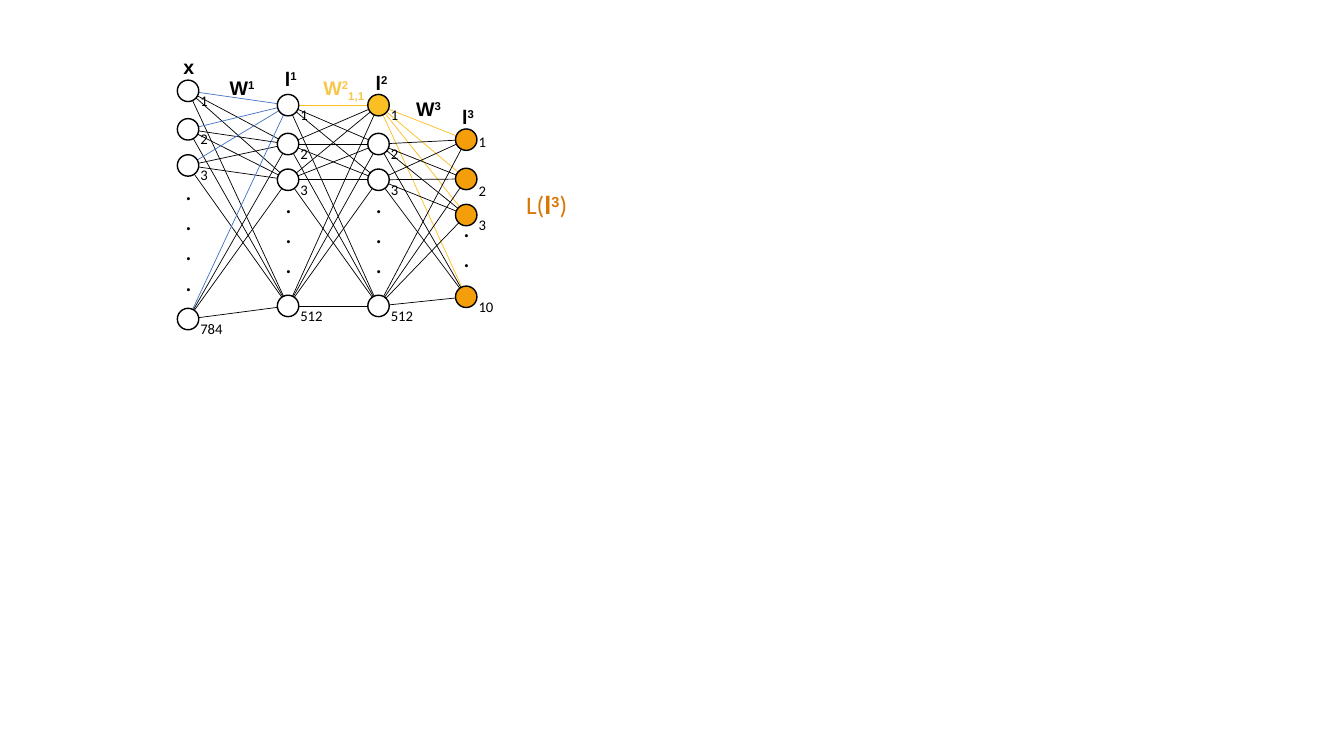
from itertools import product

from lxml import etree
from pptx import Presentation
from pptx.dml.color import RGBColor
from pptx.enum.shapes import MSO_CONNECTOR, MSO_SHAPE
from pptx.enum.text import MSO_AUTO_SIZE
from pptx.oxml.ns import qn
from pptx.util import Cm, Pt

BLACK = RGBColor(0x00, 0x00, 0x00)
WHITE = RGBColor(0xFF, 0xFF, 0xFF)
BLUE = RGBColor(0x44, 0x72, 0xC4)
AMBER = RGBColor(0xFB, 0xBF, 0x24)
PALE_AMBER = RGBColor(0xF8, 0xC6, 0x4A)
ORANGE = RGBColor(0xF5, 0x9E, 0x0B)
DARK_ORANGE = RGBColor(0xD9, 0x77, 0x06)

# Layers, in cm: centre x, node centre ys, node fills, last number,
# label offsets below the centres, dots (top, height, count)
HIDDEN_YS = (2.65, 3.63, 4.53, 7.71)
EVEN = (-0.11,) * 4
LAYERS = [
    (4.74, (2.29, 3.26, 4.17, 8.04), (WHITE,) * 4, "784", EVEN, (4.29, 3.33, 4)),
    (7.26, HIDDEN_YS, (WHITE,) * 4, "512", EVEN, (4.62, 2.57, 3)),
    (9.54, HIDDEN_YS, (AMBER,) + (WHITE,) * 3, "512", EVEN, (4.62, 2.57, 3)),
    (11.75, (3.52, 4.51, 5.42, 7.48), (ORANGE,) * 4, "10",
     (-0.29, -0.04, -0.11, -0.11), (5.23, 1.8, 2)),
]

# Coloured weights per gap between layers: source nodes, target nodes, colour
ACCENTS = [
    (range(4), (0,), BLUE),
    ((0,), (0,), AMBER),
    ((0,), range(4), AMBER),
]

# Headings: left, top, width in cm, colour, base, superscript, subscript
HEADINGS = [
    (4.37, 1.27, 0.79, BLACK, "x", "", ""),
    (6.93, 1.57, 0.84, BLACK, "l", "1", ""),
    (9.22, 1.65, 0.84, BLACK, "l", "2", ""),
    (11.4, 2.51, 0.84, BLACK, "l", "3", ""),
    (5.54, 1.78, 1.17, BLACK, "W", "1", ""),
    (7.9, 1.78, 1.65, PALE_AMBER, "W", "2", "1,1"),
    (10.24, 2.31, 1.17, BLACK, "W", "3", ""),
]

NUMBER = {"name": "Calibri", "size": Pt(10.5)}
DOTS = {"name": "Calibri", "size": Pt(18)}
HEADING = {"name": "Arial", "size": Pt(14), "bold": True}
LOSS = {"name": "Calibri", "size": Pt(18), "bold": False}
LOSS_BOLD = {"name": "Arial", "size": Pt(18), "bold": True}
SUPER, SUB = 30000, -25000
NODE = 0.54

prs = Presentation()
prs.slide_width, prs.slide_height = Cm(33.87), Cm(19.05)
s = prs.slides.add_slide(prs.slide_layouts[6])


def add_text(left, top, width, height, paragraphs, color=BLACK, inset=None):
    """Each paragraph is a list of (text, format, baseline) runs."""
    box = s.shapes.add_textbox(Cm(left), Cm(top), Cm(width), Cm(height))
    tf = box.text_frame
    tf.word_wrap = False
    tf.auto_size = MSO_AUTO_SIZE.SHAPE_TO_FIT_TEXT
    if inset is not None:
        for side in ("left", "top", "right", "bottom"):
            setattr(tf, f"margin_{side}", Cm(inset))
    for i, runs in enumerate(paragraphs):
        p = tf.add_paragraph() if i else tf.paragraphs[0]
        for text, fmt, baseline in runs:
            r = p.add_run()
            r.text = text
            for key, value in fmt.items():
                setattr(r.font, key, value)
            r.font.color.rgb = color
            if baseline:
                r._r.get_or_add_rPr().set("baseline", str(baseline))


def add_weight(x1, y1, x2, y2, color):
    line = s.shapes.add_connector(
        MSO_CONNECTOR.STRAIGHT, Cm(x1), Cm(y1), Cm(x2), Cm(y2))
    line.line.color.rgb = color
    line.line.width = Pt(0.5)
    etree.SubElement(line._element.spPr, qn("a:effectLst"))


def add_node(x, y, fill):
    sp = s.shapes.add_shape(MSO_SHAPE.OVAL, Cm(x - NODE / 2),
                            Cm(y - NODE / 2), Cm(NODE), Cm(NODE))
    sp.shadow.inherit = False
    sp.fill.solid()
    sp.fill.fore_color.rgb = fill
    sp.line.color.rgb = BLACK
    sp.line.width = Pt(1)


# Weights: every node joined to every node of the next layer
for source, target, (starts, ends, accent) in zip(LAYERS, LAYERS[1:], ACCENTS):
    for (i, y1), (j, y2) in product(enumerate(source[1]), enumerate(target[1])):
        color = accent if i in starts and j in ends else BLACK
        add_weight(source[0], y1, target[0], y2, color)

# Nodes, their numbers and the dots between them
for x, ys, fills, last, offsets, (top, height, count) in LAYERS:
    add_text(x - 0.32, top, 0.69, height, [[(".", DOTS, 0)]] * count)
    for y, fill, number, offset in zip(ys, fills, ("1", "2", "3", last), offsets):
        add_node(x, y, fill)
        width = 0.52 + 0.19 * len(number)
        add_text(x + 0.06, y + offset, width, 0.71, [[(number, NUMBER, 0)]])

# Layer and weight headings
for left, top, width, color, base, sup, sub in HEADINGS:
    parts = ((base, HEADING, 0), (sup, HEADING, SUPER), (sub, HEADING, SUB))
    add_text(left, top, width, 0.86, [[part for part in parts if part[0]]], color)

# Loss
add_text(13.26, 4.78, 1.07, 0.76,
         [[("L(", LOSS, 0), ("l", LOSS_BOLD, 0), ("3", LOSS_BOLD, SUPER),
           (")", LOSS, 0)]], DARK_ORANGE, inset=0)

prs.save("out.pptx")
